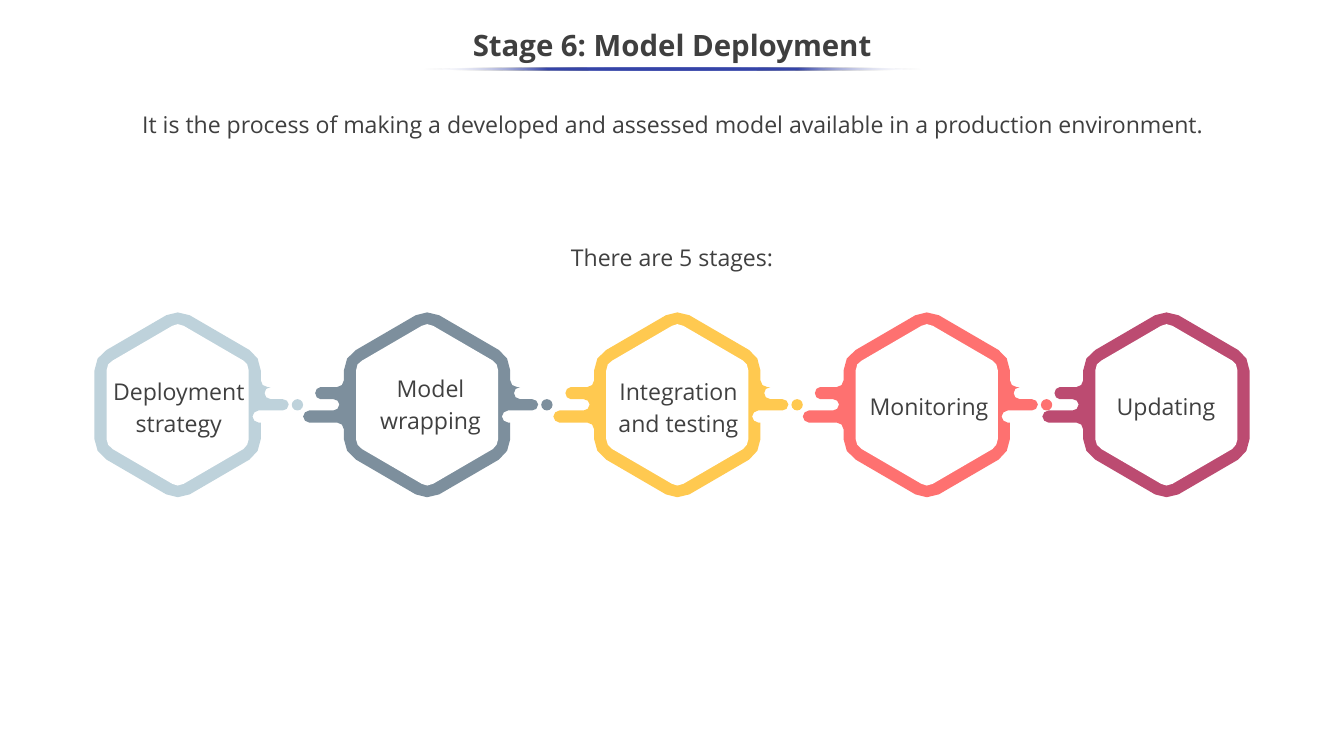
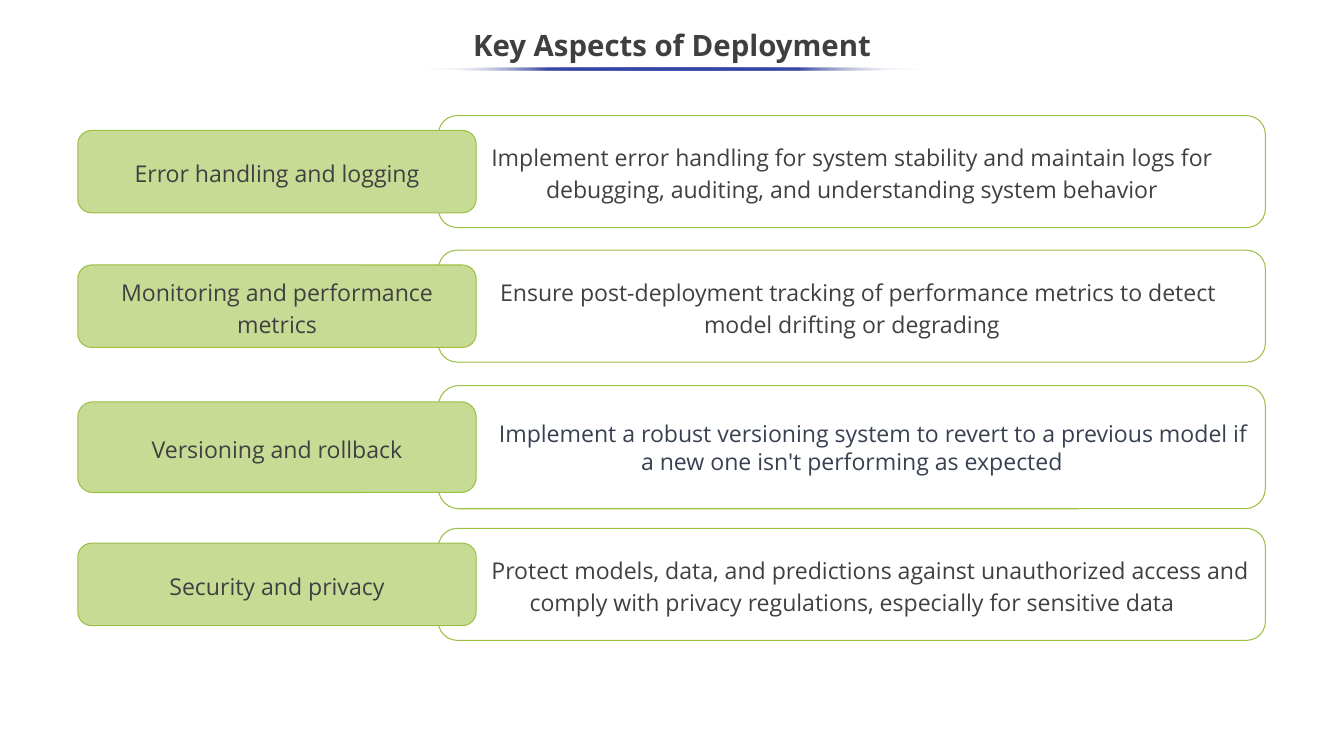
"""Builds two slides on deploying a model: its five stages and its key aspects."""
import pptx
import pptx.dml.color
import pptx.enum.shapes
import pptx.enum.text
import pptx.oxml
import pptx.oxml.ns
import pptx.util

PX = 9144
FONT = "Open Sans"
DARK, GREY, SLATE = "3F3F3F", "404040", "374151"
WHITE, BLUE, LIME, EDGE = "FFFFFF", "3645A9", "C7DB95", "9DC044"
KINDS = pptx.enum.shapes.MSO_SHAPE
MID = pptx.enum.text.MSO_ANCHOR.MIDDLE
TOP = pptx.enum.text.MSO_ANCHOR.TOP

HEADS = ["Stage 6: Model Deployment", "Key Aspects of Deployment"]
INTRO = ("It is the process of making a developed and assessed model "
         "available in a production environment.")
COUNT = "There are 5 stages:"

# label, colour, hexagon left, label box
STAGES = [
    ("Deployment strategy", "BED2DB", 125, (139, 489, 195, 93)),
    ("Model wrapping", "7D8F9D", 455, (471, 486, 197, 93)),
    ("Integration and testing", "FFC950", 786, (793, 489, 209, 93)),
    ("Monitoring", "FE7170", 1116, (1129, 510, 200, 50)),
    ("Updating", "BC4B71", 1433, (1441, 510, 203, 50)),
]

# label, detail, top, height, label height, first-line indent, colour, spacing
ASPECTS = [
    ("Error handling and logging",
     "Implement error handling for system stability and maintain logs for "
     "debugging, auditing, and understanding system behavior",
     153, 148, 109, 0, GREY, 1.15),
    ("Monitoring and performance metrics",
     "Ensure post-deployment tracking of performance metrics to detect "
     "model drifting or degrading",
     331, 148, 109, 16, GREY, 1.15),
    ("Versioning and rollback",
     "Implement a robust versioning system to revert to a previous model if "
     "a new one isn't performing as expected",
     510, 163, 120, 56, SLATE, 1.0),
    ("Security and privacy",
     "Protect models, data, and predictions against unauthorized access and "
     "comply with privacy regulations, especially for sensitive data",
     699, 148, 109, 48, GREY, 1.15),
]

# pairs are corners, sixes are two curve handles and an end
HEX_Y = 413
ROOF = [(220, 77), (220, 66, 214, 55, 205, 50), (126, 4),
        (116, -1, 104, -1, 95, 4), (16, 50), (6, 55, 0, 66, 0, 77)]
FLOOR = [(0, 168), (0, 179, 6, 189, 16, 195), (95, 241),
         (104, 246, 116, 246, 126, 241), (205, 195),
         (214, 189, 220, 179, 220, 168)]
LEFT = [(0, 90), (0, 95, -4, 99, -9, 99), (-31, 99),
        (-35, 99, -38, 103, -38, 107), (-38, 111, -35, 115, -31, 115),
        (-14, 115), (-10, 115, -6, 118, -6, 122),
        (-6, 127, -10, 130, -14, 130), (-46, 130),
        (-50, 130, -54, 134, -54, 138), (-54, 142, -50, 146, -46, 146),
        (-9, 146), (-4, 146, 0, 150, 0, 155)]
RIGHT = [(220, 146), (217, 146), (213, 146, 209, 142, 209, 138),
         (209, 134, 213, 130, 217, 130), (249, 130),
         (253, 130, 257, 127, 257, 122), (257, 118, 253, 115, 249, 115),
         (233, 115), (228, 115, 225, 111, 225, 107),
         (225, 103, 228, 99, 233, 99), (229, 99),
         (224, 99, 220, 95, 220, 90)]
CORE = [(118, 227), (113, 230, 107, 230, 103, 227), (24, 181),
        (19, 178, 16, 173, 16, 168), (16, 77), (16, 71, 19, 66, 24, 64),
        (103, 18), (107, 15, 113, 15, 118, 18), (197, 64),
        (201, 66, 204, 71, 204, 77), (204, 168),
        (204, 173, 201, 178, 197, 181)]


def emu(*nums):
    """Turn px lengths into EMU."""
    return [pptx.util.Emu(round(n * PX)) for n in nums]


def tint(hue):
    """Turn a hex string into a colour."""
    return pptx.dml.color.RGBColor.from_string(hue)


def place(shape, box):
    """Move a placeholder to a px box."""
    shape.left, shape.top, shape.width, shape.height = emu(*box)


def paint(shape, fill, edge=None):
    """Give a shape a flat fill and an optional thin edge."""
    shape.shadow.inherit = False
    shape.fill.solid()
    shape.fill.fore_color.rgb = tint(fill)
    if edge:
        shape.line.color.rgb = tint(edge)
        shape.line.width = pptx.util.Pt(1)
    else:
        shape.line.fill.background()


def write(shape, text, hue=GREY, size=22, bold=False, gap=1.15,
          anchor=MID, pad=5, shift=0):
    """Set centred text in a shape."""
    frame = shape.text_frame
    frame.text = text
    frame.word_wrap = True
    frame.auto_size = pptx.enum.text.MSO_AUTO_SIZE.NONE
    frame.vertical_anchor = anchor
    frame.margin_left, frame.margin_right = emu(10, 10)
    frame.margin_top, frame.margin_bottom = emu(pad, pad)
    para = frame.paragraphs[0]
    para.alignment = pptx.enum.text.PP_ALIGN.CENTER
    para.line_spacing = gap
    para.space_before = pptx.util.Pt(0)
    props = para._p.get_or_add_pPr()
    props.set("marL", "0")
    props.set("indent", str(emu(shift)[0]))
    props.append(pptx.oxml.parse_xml(
        f'<a:buNone {pptx.oxml.ns.nsdecls("a")}/>'))
    for run in para.runs:
        font = run.font
        font.name, font.size, font.bold = FONT, pptx.util.Pt(size), bold
        font.color.rgb = tint(hue)


def note(slide, text, box, **style):
    """Add a text box."""
    write(slide.shapes.add_textbox(*emu(*box)), text, **style)


def fade(shape):
    """Fill a shape with blue that fades out at both ends."""
    shape.shadow.inherit = False
    shape.line.fill.background()
    stops = ""
    for spot, hue in enumerate([WHITE, BLUE, BLUE, BLUE, WHITE]):
        alpha = '<a:alpha val="0"/>' if hue == WHITE else ""
        stops += (f'<a:gs pos="{spot * 25000}"><a:srgbClr val="{hue}">'
                  f'{alpha}</a:srgbClr></a:gs>')
    grad = pptx.oxml.parse_xml(
        f'<a:gradFill {pptx.oxml.ns.nsdecls("a")}><a:gsLst>{stops}</a:gsLst>'
        '<a:lin ang="10800000" scaled="0"/></a:gradFill>')
    shape._element.spPr.find(pptx.oxml.ns.qn("a:prstGeom")).addnext(grad)


def start(deck, layout, head):
    """Add a slide with its title and the rule below it."""
    slide = deck.slides.add_slide(deck.slide_layouts[layout])
    title = slide.shapes.title
    place(title, (-1, 25, 1780, 75))
    write(title, head, DARK, 28, True, 0.9)
    fade(slide.shapes.add_shape(KINDS.OVAL, *emu(560, 89, 659, 4)))
    return slide


def trace(path):
    """Turn corners and curves into points, with one midway on each curve."""
    spots = [path[0]]
    for part in path[1:]:
        if len(part) == 6:
            ends = [spots[-1], part[:2], part[2:4], part[4:]]
            spots.append(tuple((a + 3 * b + 3 * c + d) / 8
                               for a, b, c, d in zip(*ends)))
        spots.append(part[-2:])
    return spots


def draw(slide, path, left, hue):
    """Draw a filled outline at a hexagon's place."""
    spots = [emu(left + x, HEX_Y + y) for x, y in trace(path)]
    pen = slide.shapes.build_freeform(*spots[0], scale=1.0)
    pen.add_line_segments(spots[1:], close=True)
    paint(pen.convert_to_shape(), hue)


def stages(deck):
    """Build the slide with the chain of hexagons."""
    slide = start(deck, 1, HEADS[0])
    body = slide.placeholders[1]
    place(body, (141, 141, 1498, 99))
    write(body, INTRO, DARK, gap=1.14, anchor=TOP, pad=0)
    note(slide, COUNT, (695, 316, 388, 72), anchor=TOP, pad=0)
    last = len(STAGES) - 1
    for spot, (label, hue, left, box) in enumerate(STAGES):
        ring = (ROOF + (LEFT if spot > 0 else []) + FLOOR
                + (RIGHT if spot < last else []))
        draw(slide, ring, left, hue)
        if spot < last:
            dot = emu(left + 261, HEX_Y + 115, 15, 15)
            paint(slide.shapes.add_shape(KINDS.OVAL, *dot), hue)
        draw(slide, CORE, left, WHITE)
        note(slide, label, box)


def aspects(deck):
    """Build the slide with the rows of labels and details."""
    slide = start(deck, 5, HEADS[1])
    for label, detail, top, high, low, shift, hue, gap in ASPECTS:
        card = slide.shapes.add_shape(
            KINDS.ROUNDED_RECTANGLE, *emu(580, top, 1094, high))
        paint(card, WHITE, EDGE)
        write(card, detail, hue, gap=gap, shift=shift)
        tag = slide.shapes.add_shape(
            KINDS.ROUNDED_RECTANGLE,
            *emu(103, top + (high - low) / 2, 527, low))
        paint(tag, LIME, EDGE)
        write(tag, label)


def main():
    """Build and save the deck."""
    deck = pptx.Presentation()
    deck.slide_width, deck.slide_height = emu(1778, 1000)
    stages(deck)
    aspects(deck)
    deck.save("out.pptx")


if __name__ == "__main__":
    main()
